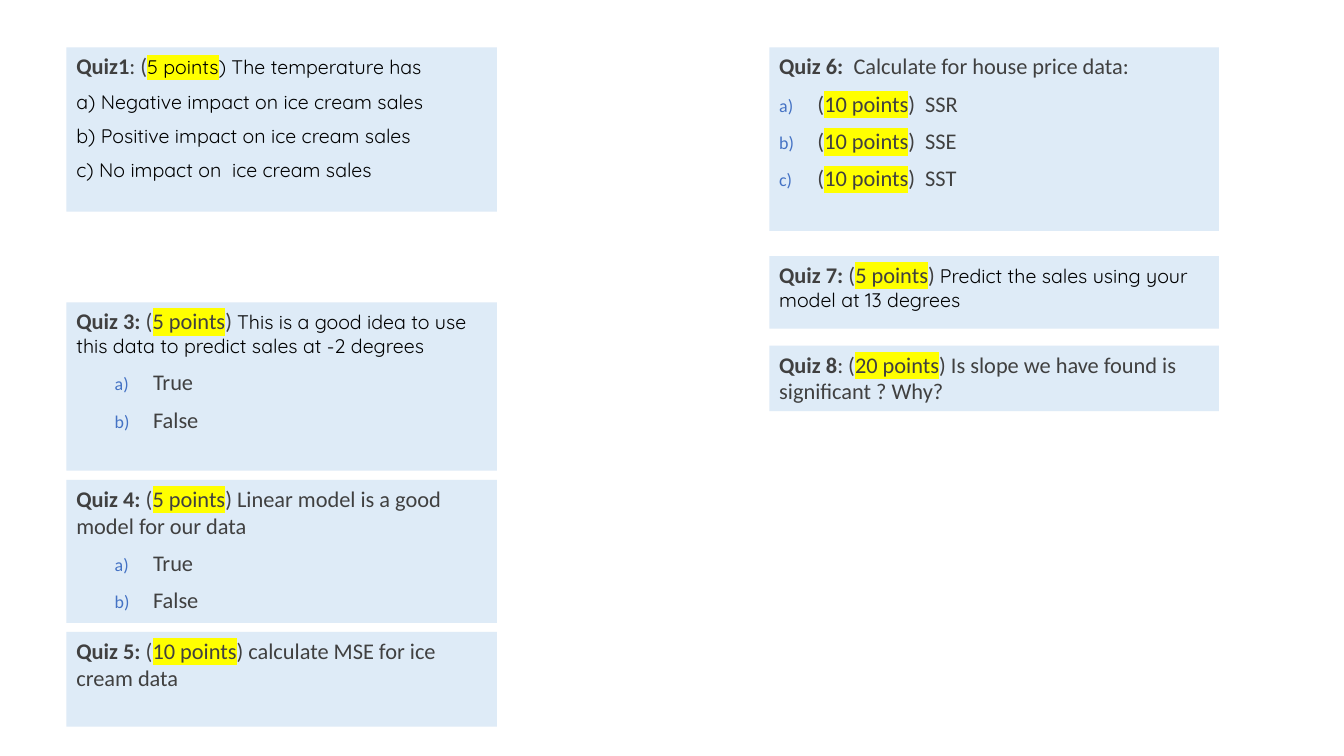
from dataclasses import dataclass

from lxml import etree
from pptx import Presentation
from pptx import util as u
from pptx.dml.color import RGBColor
from pptx.enum import text
from pptx.oxml.ns import qn


@dataclass(frozen=True)
class Theme:
    panel: str = "DEEBF7"
    ink: str = "404040"
    black: str = "000000"
    marker: str = "FFFF00"
    letter: str = "4472C4"
    body_font: str = "Calibri"
    body_size: int = 16
    round_font: str = "Quicksand"
    round_size: int = 14
    gap: float = 7.5


THEME = Theme()
LEFT, LEFT_WIDTH = 0.66, 4.27
RIGHT, RIGHT_WIDTH = 7.63, 4.46
HANGING = 0.38


# Run kinds: (text, bold, highlighted, rounded typeface)
def plain(words):
    return words, False, False, False


def bold(words):
    return words, True, False, False


def rounded(words):
    return words, False, False, True


def points(number, in_round=False):
    return f"{number} points", False, True, in_round


def heading(label, score, question):
    return [bold(label), plain("("), points(score), plain(") "), question]


def add_color(parent, tag, color):
    holder = etree.SubElement(parent, qn(tag))
    etree.SubElement(holder, qn("a:srgbClr"), val=color)


def add_run(paragraph, words, is_bold, highlighted, in_round):
    run = paragraph.add_run()
    run.text = words
    font = run.font
    font.bold = is_bold
    font.size = u.Pt(THEME.round_size if in_round else THEME.body_size)
    font.color.rgb = RGBColor.from_string(THEME.black if in_round else THEME.ink)
    if highlighted:
        add_color(run._r.get_or_add_rPr(), "a:highlight", THEME.marker)
    font.name = THEME.round_font if in_round else THEME.body_font


def add_letter(paragraph, level):
    """Number an answer a), b), c) with a hanging indent."""
    paragraph.level = level
    props = paragraph._p.get_or_add_pPr()
    props.set("marL", str(u.Inches(HANGING * (level + 1))))
    props.set("indent", str(u.Inches(-HANGING)))
    add_color(props, "a:buClr", THEME.letter)
    etree.SubElement(props, qn("a:buSzPct"), val="80000")
    etree.SubElement(props, qn("a:buAutoNum"), type="alphaLcParenR")


def add_quiz(slide, left, top, width, height, question, answers=(), level=None):
    """Draw one panel; answers are lettered when a level is given."""
    panel = slide.shapes.add_textbox(
        u.Inches(left), u.Inches(top), u.Inches(width), u.Inches(height))
    panel.fill.solid()
    panel.fill.fore_color.rgb = RGBColor.from_string(THEME.panel)
    frame = panel.text_frame
    frame.word_wrap = True
    frame.auto_size = text.MSO_AUTO_SIZE.NONE
    frame.vertical_anchor = text.MSO_ANCHOR.TOP
    for run in question:
        add_run(frame.paragraphs[0], *run)
    for answer in answers:
        paragraph = frame.add_paragraph()
        paragraph.space_before = u.Pt(THEME.gap)
        if level is not None:
            add_letter(paragraph, level)
        for run in answer:
            add_run(paragraph, *run)


def main():
    deck = Presentation()
    deck.slide_width, deck.slide_height = u.Inches(13.33), u.Inches(7.5)
    slide = deck.slides.add_slide(deck.slide_layouts[6])
    true_false = [[plain("True")], [plain("False")]]

    # Left column: ice cream data
    add_quiz(slide, LEFT, 0.47, LEFT_WIDTH, 1.63,
             [bold("Quiz1"), plain(": ("), points(5, in_round=True),
              rounded(") The temperature has")],
             [[rounded("a) Negative impact on ice cream sales")],
              [rounded("b) Positive impact on ice cream sales")],
              [rounded("c) No impact on  ice cream sales")]])
    add_quiz(slide, LEFT, 3, LEFT_WIDTH, 1.67,
             heading("Quiz 3: ", 5, rounded(
                 "This is a good idea to use this data to predict sales at -2 degrees")),
             true_false, level=1)
    add_quiz(slide, LEFT, 4.76, LEFT_WIDTH, 1.42,
             heading("Quiz 4: ", 5, plain("Linear model is a good model for our data")),
             true_false, level=1)
    add_quiz(slide, LEFT, 6.27, LEFT_WIDTH, 0.94,
             heading("Quiz 5: ", 10, plain("calculate MSE for ice cream data")))

    # Right column: house prices, prediction and slope
    add_quiz(slide, RIGHT, 0.47, RIGHT_WIDTH, 1.82,
             [bold("Quiz 6:  "), plain("Calculate for house price data:")],
             [[plain("("), points(10), plain(f")  {measure}")]
              for measure in ("SSR", "SSE", "SST")], level=0)
    add_quiz(slide, RIGHT, 2.54, RIGHT_WIDTH, 0.72,
             heading("Quiz 7: ", 5, rounded(
                 "Predict the sales using your model at 13 degrees")))
    add_quiz(slide, RIGHT, 3.43, RIGHT_WIDTH, 0.65,
             [bold("Quiz 8"), plain(": ("), points(20),
              plain(") Is slope we have found is significant ? Why?")])

    deck.save("out.pptx")


if __name__ == "__main__":
    main()
